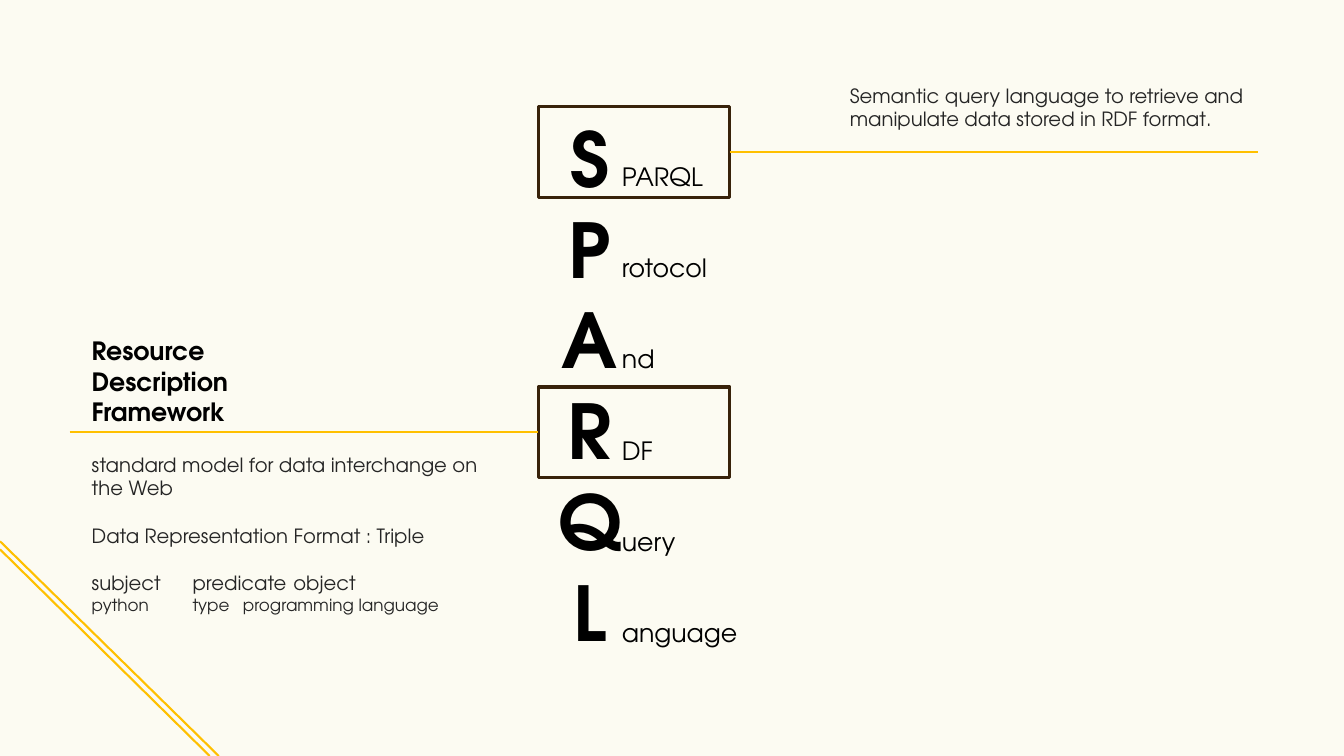
from lxml import etree
from pptx import Presentation
from pptx.dml.color import RGBColor
from pptx.enum import shapes, text
from pptx.oxml import ns
from pptx.util import Inches, Pt

CREAM = RGBColor(0xFC, 0xFB, 0xF2)
BROWN = RGBColor(0x38, 0x22, 0x0A)
GOLD = RGBColor(0xFF, 0xC0, 0x00)
BLACK = RGBColor(0, 0, 0)
GREY = RGBColor(0x25, 0x25, 0x25)
FACE = "TeX Gyre Adventor"

HEAD = {"size": Pt(54), "bold": True}
WORD = {"size": Pt(18), "bold": False}
TERM = {"size": Pt(18), "bold": True}
NOTE = {"size": Pt(14), "bold": False}
SMALL = {"size": Pt(12), "bold": False}

WORDS = ["SPARQL", "Protocol", "And", "RDF", "Query", "Language"]
TOP = 1.06


def place(shape, box):
    for name, value in zip(("left", "top", "width", "height"), box):
        setattr(shape, name, Inches(value))


def write(shape, box, lines, color, wrap=True, align=text.PP_ALIGN.LEFT):
    """Fill a text shape with (text, font format, space after) lines."""
    place(shape, box)
    frame = shape.text_frame
    form = {"word_wrap": wrap, "auto_size": text.MSO_AUTO_SIZE.NONE,
            "vertical_anchor": text.MSO_ANCHOR.TOP,
            "margin_left": Inches(0.1), "margin_right": Inches(0.1),
            "margin_top": Inches(0.05), "margin_bottom": Inches(0.05)}
    for name, value in form.items():
        setattr(frame, name, value)
    for i, (words, style, gap) in enumerate(lines):
        para = frame.add_paragraph() if i else frame.paragraphs[0]
        look = {"alignment": align, "line_spacing": 1.0,
                "space_before": Pt(0), "space_after": Pt(gap)}
        for name, value in look.items():
            setattr(para, name, value)
        run = para.add_run()
        run.text = words
        for name, value in {"name": FACE, **style}.items():
            setattr(run.font, name, value)
        run.font.color.rgb = color
    return frame


def label(slide, box, *args, **form):
    shape = slide.shapes.add_textbox(0, 0, 0, 0)
    return write(shape, box, *args, **form)


def plain(para, stops=()):
    """Drop the bullet and indent, and set tab stops."""
    props = para._p.get_or_add_pPr()
    props.set("marL", "0")
    props.set("indent", "0")
    etree.SubElement(props, ns.qn("a:buNone"))
    if stops:
        tabs = etree.SubElement(props, ns.qn("a:tabLst"))
        for stop in stops:
            etree.SubElement(tabs, ns.qn("a:tab"),
                             pos=str(Inches(stop)), algn="l")


def frame_box(slide, top):
    box = slide.shapes.add_shape(shapes.MSO_SHAPE.RECTANGLE, 0, 0, 0, 0)
    place(box, (5.34, top, 1.9, 0.9))
    box.shadow.inherit = False
    box.fill.background()
    box.line.color.rgb = BROWN
    box.line.width = Pt(2.25)
    return box


def rule(slide, x1, y1, x2, y2):
    line = slide.shapes.add_connector(
        shapes.MSO_CONNECTOR.STRAIGHT, *map(Inches, (x1, y1, x2, y2)))
    line.line.color.rgb = GOLD
    line.line.width = Pt(1.5)
    etree.SubElement(line._element.spPr, ns.qn("a:effectLst"))
    return line


def main():
    deck = Presentation()
    deck.slide_width = Inches(13.33)
    deck.slide_height = Inches(7.5)
    slide = deck.slides.add_slide(deck.slide_layouts[1])
    slide.background.fill.solid()
    slide.background.fill.fore_color.rgb = CREAM
    title, body = slide.placeholders

    # Acronym: initials, then the rest of each word at the same pitch
    write(title, (5.43, TOP, 0.84, 5.55), [(w[0], HEAD, 0) for w in WORDS],
          BLACK, wrap=False, align=text.PP_ALIGN.CENTER)
    label(slide, (6.07, 1.55, 1.36, 5.25),
          [(w[1:], WORD, 43.6) for w in WORDS], BLACK, wrap=False)

    # Framed words and their rules
    query = frame_box(slide, TOP)
    data = frame_box(slide, 3.84)
    rule(slide, 7.24, 1.51, 12.48, 1.51).begin_connect(query, 3)
    rule(slide, 0.69, 4.29, 5.34, 4.29).end_connect(data, 1)

    # RDF explained
    label(slide, (0.81, 3.28, 1.64, 1.01),
          [(w, TERM, 0) for w in ("Resource", "Description", "Framework")],
          BLACK, wrap=False)
    notes = write(body, (0.81, 4.44, 4.35, 1.95), [
        ("standard model for data interchange on the Web", NOTE, 17),
        ("Data Representation Format : Triple", NOTE, 17),
        ("subject\tpredicate\tobject", NOTE, 0),
        ("python\ttype\tprogramming language", SMALL, 0)], GREY)
    for i, para in enumerate(notes.paragraphs):
        plain(para, (0.85, 1.95) if i > 1 else ())

    # SPARQL explained
    label(slide, (8.33, 0.78, 4.24, 0.57),
          [("Semantic query language to retrieve and manipulate data "
            "stored in RDF format.", NOTE, 0)], GREY)

    # Corner stripes
    for top, right in ((5.45, 2.08), (5.37, 2.17)):
        rule(slide, 0, top, right, 7.5)

    deck.save("out.pptx")


if __name__ == "__main__":
    main()
